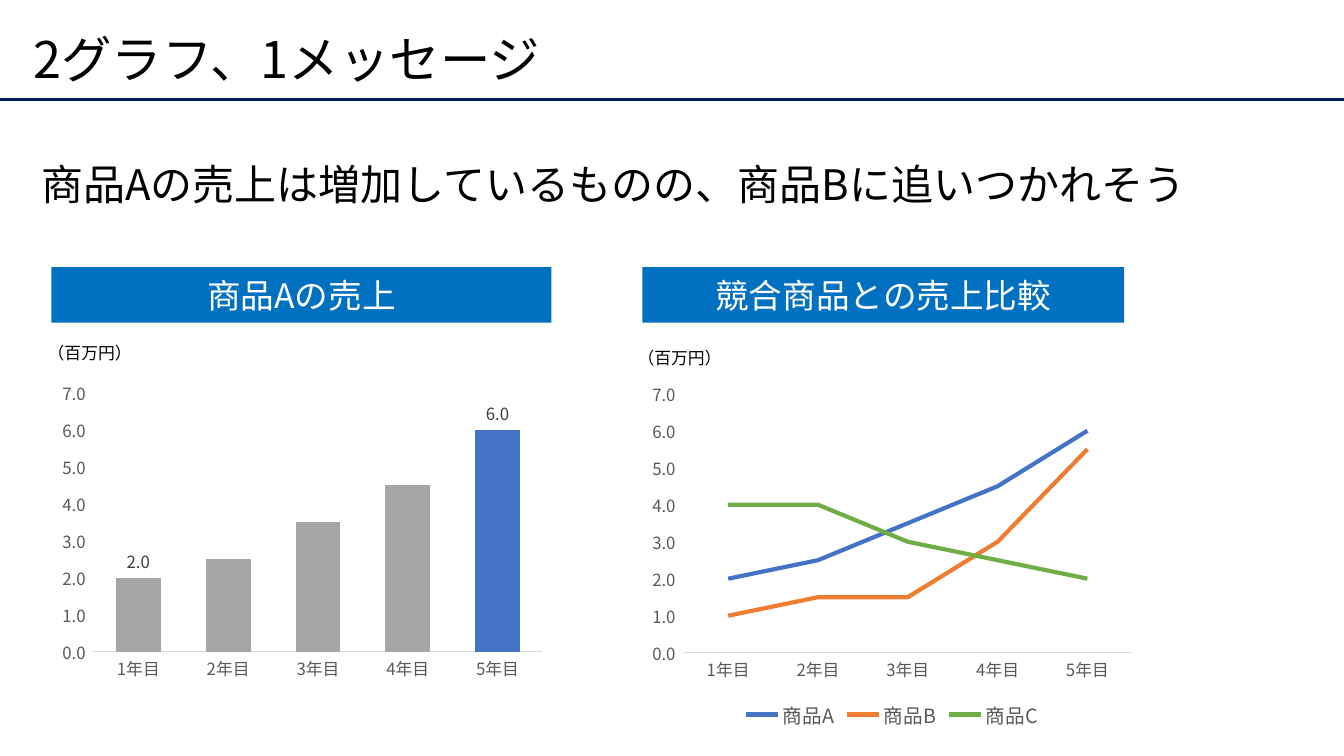
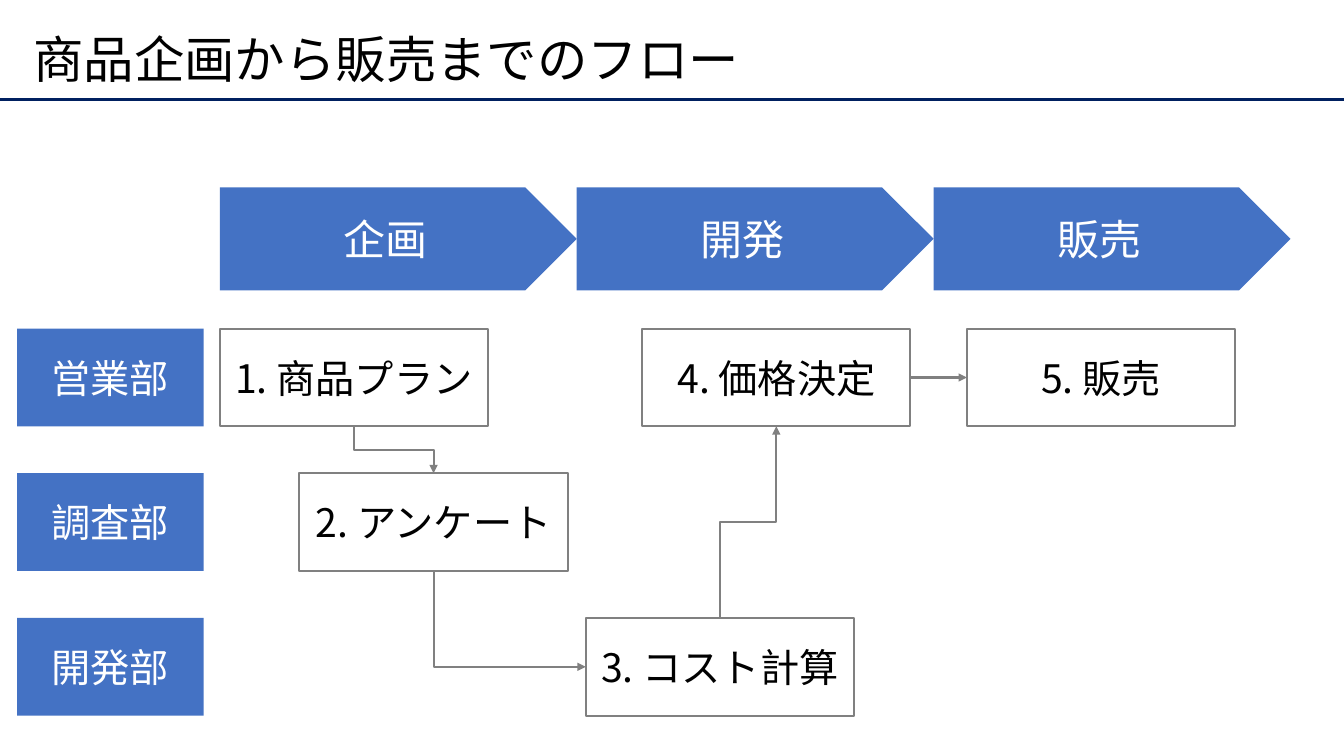
from dataclasses import dataclass
from typing import Any, NamedTuple

from lxml.etree import SubElement
from pptx import Presentation
from pptx.chart.chart import Chart
from pptx.chart.data import CategoryChartData
from pptx.dml.color import RGBColor
from pptx.enum.chart import XL_CHART_TYPE, XL_LABEL_POSITION, XL_LEGEND_POSITION, XL_TICK_MARK
from pptx.enum.shapes import MSO_CONNECTOR, MSO_SHAPE
from pptx.enum.text import MSO_ANCHOR, PP_ALIGN
from pptx.oxml.ns import qn
from pptx.shapes.autoshape import Shape
from pptx.shapes.connector import Connector
from pptx.slide import Slide
from pptx.text.text import Font
from pptx.util import Inches, Pt

FONT_NAME = "Noto Sans CJK JP"
BLACK, WHITE, NAVY = "000000", "FFFFFF", "002060"
BLUE, HEADING_BLUE, ORANGE, GREEN = "4472C4", "0070C0", "ED7D31", "70AD47"
GREY, BAR_GREY, AXIS_GREY, AXIS_TEXT, LABEL_TEXT = "808080", "A6A6A6", "D9D9D9", "595959", "404040"

YEARS = [f"{year}年目" for year in range(1, 6)]
PRODUCT_A_SALES = (2, 2.5, 3.5, 4.5, 6)
ROW_TOP, ROW_PITCH, ROW_HEIGHT = 3.26, (6.13 - 3.26) / 2, 0.97
STEP_WIDTH = 2.66
PHASE_LEFT, PHASE_WIDTH = 2.18, 3.54
TOP_SITE, LEFT_SITE, BOTTOM_SITE, RIGHT_SITE = range(4)


class Box(NamedTuple):
    left: float
    top: float
    width: float
    height: float


@dataclass(frozen=True)
class Style:
    size: float
    color: str = BLACK
    align: PP_ALIGN = PP_ALIGN.CENTER
    anchor: MSO_ANCHOR = MSO_ANCHOR.MIDDLE
    spacing: float = 1.0
    wrap: bool = True


@dataclass(frozen=True)
class Series:
    name: str
    values: tuple[float, ...]
    color: str


@dataclass(frozen=True)
class Step:
    text: str
    left: float
    row: int


@dataclass(frozen=True)
class Link:
    start: int
    start_site: int
    end: int
    end_site: int
    preset: str


TITLE_STYLE = Style(36, align=PP_ALIGN.LEFT, spacing=0.9)
MESSAGE_STYLE = Style(30, align=PP_ALIGN.LEFT, anchor=MSO_ANCHOR.TOP, spacing=1.5)
UNIT_STYLE = Style(12, anchor=MSO_ANCHOR.TOP, wrap=False)

BAR_SERIES = [Series("商品A", PRODUCT_A_SALES, BAR_GREY)]
LINE_SERIES = [
    Series("商品A", PRODUCT_A_SALES, BLUE),
    Series("商品B", (1, 1.5, 1.5, 3, 5.5), ORANGE),
    Series("商品C", (4, 4, 3, 2.5, 2), GREEN),
]
STEPS = [
    Step("1. 商品プラン", 2.18, 0),
    Step("2. アンケート", 2.97, 1),
    Step("3. コスト計算", 5.81, 2),
    Step("4. 価格決定", 6.37, 0),
    Step("5. 販売", 9.59, 0),
]
LINKS = [
    Link(0, BOTTOM_SITE, 1, TOP_SITE, "bentConnector3"),
    Link(1, BOTTOM_SITE, 2, LEFT_SITE, "bentConnector2"),
    Link(3, RIGHT_SITE, 4, LEFT_SITE, "straightConnector1"),
    Link(2, TOP_SITE, 3, BOTTOM_SITE, "bentConnector3"),
]


def rgb(color: str) -> RGBColor:
    return RGBColor.from_string(color)


def set_values(target: Any, values: dict[str, Any]) -> None:
    for name, value in values.items():
        setattr(target, name, value)


def format_font(font: Font, size: float, color: str) -> None:
    set_values(font, {"name": FONT_NAME, "size": Pt(size), "bold": False})
    font.color.rgb = rgb(color)
    SubElement(font._rPr, qn("a:ea")).set("typeface", FONT_NAME)


def place(shape: Any, box: Box) -> None:
    set_values(shape, {name: Inches(value) for name, value in box._asdict().items()})


def write_text(shape: Any, text: str, style: Style) -> None:
    frame = shape.text_frame
    set_values(frame, {"word_wrap": style.wrap, "vertical_anchor": style.anchor})
    paragraph = frame.paragraphs[0]
    set_values(paragraph, {"alignment": style.align, "line_spacing": style.spacing})
    run = paragraph.add_run()
    run.text = text
    format_font(run.font, style.size, style.color)


def add_text(slide: Slide, box: Box, text: str, style: Style) -> None:
    write_text(slide.shapes.add_textbox(*map(Inches, box)), text, style)


def add_block(slide: Slide, box: Box, text: str, style: Style, fill: str,
              line: str | None = None, preset: MSO_SHAPE = MSO_SHAPE.RECTANGLE) -> Shape:
    shape = slide.shapes.add_shape(preset, *map(Inches, box))
    shape.shadow.inherit = False
    shape.fill.solid()
    shape.fill.fore_color.rgb = rgb(fill)
    if line:
        shape.line.color.rgb = rgb(line)
        shape.line.width = Pt(1.5)
    else:
        shape.line.fill.background()
    set_values(shape.text_frame, {"margin_left": Inches(0.05), "margin_right": Inches(0.05)})
    write_text(shape, text, style)
    return shape


def format_connector(connector: Connector, color: str, width: float) -> None:
    connector.line.color.rgb = rgb(color)
    connector.line.width = Pt(width)
    SubElement(connector._element.spPr, qn("a:effectLst"))


def add_titled_slide(presentation: Any, title: str) -> Slide:
    slide = presentation.slides.add_slide(presentation.slide_layouts[5])
    place(slide.shapes.title, Box(0.23, 0.2, 12.6, 0.84))
    write_text(slide.shapes.title, title, TITLE_STYLE)
    rule = slide.shapes.add_connector(
        MSO_CONNECTOR.STRAIGHT, 0, Inches(0.99), presentation.slide_width, Inches(0.99))
    format_connector(rule, NAVY, 2.25)
    return slide


def add_sales_chart(slide: Slide, box: Box, kind: XL_CHART_TYPE,
                    series_list: list[Series], axis_format: str) -> Chart:
    data = CategoryChartData(number_format="0.0")
    data.categories = YEARS
    for series in series_list:
        data.add_series(series.name, series.values)
    chart = slide.shapes.add_chart(kind, *map(Inches, box), data).chart
    set_values(chart, {"has_title": False, "has_legend": False})
    format_font(chart.font, 10, BLACK)
    chart.plots[0].vary_by_categories = False
    for axis in (chart.category_axis, chart.value_axis):
        set_values(axis, {
            "has_major_gridlines": False,
            "major_tick_mark": XL_TICK_MARK.NONE,
            "minor_tick_mark": XL_TICK_MARK.NONE,
        })
        format_font(axis.tick_labels.font, 12, AXIS_TEXT)
    chart.category_axis.format.line.color.rgb = rgb(AXIS_GREY)
    chart.category_axis.format.line.width = Pt(0.75)
    chart.value_axis.format.line.fill.background()
    set_values(chart.value_axis, {"minimum_scale": 0, "maximum_scale": 7, "major_unit": 1})
    set_values(chart.value_axis.tick_labels,
               {"number_format": axis_format, "number_format_is_linked": False})
    return chart


def add_bar_chart(slide: Slide, box: Box) -> None:
    chart = add_sales_chart(slide, box, XL_CHART_TYPE.COLUMN_CLUSTERED, BAR_SERIES, "0.0_ ")
    set_values(chart.plots[0], {"gap_width": 100, "overlap": -27})
    bars = chart.plots[0].series[0]
    last = len(YEARS) - 1
    for target, color in ((bars, BAR_SERIES[0].color), (bars.points[last], BLUE)):
        target.format.fill.solid()
        target.format.fill.fore_color.rgb = rgb(color)
    bars.data_labels.show_value = False
    for index in (0, last):
        label = bars.points[index].data_label
        format_font(label.font, 12, LABEL_TEXT)
        label.position = XL_LABEL_POSITION.OUTSIDE_END


def add_line_chart(slide: Slide, box: Box) -> None:
    chart = add_sales_chart(slide, box, XL_CHART_TYPE.LINE, LINE_SERIES, r"0.0_);[Red]\(0.0\)")
    for drawn, series in zip(chart.plots[0].series, LINE_SERIES):
        drawn.smooth = False
        drawn.format.line.color.rgb = rgb(series.color)
        drawn.format.line.width = Pt(3)
    chart.has_legend = True
    set_values(chart.legend, {"position": XL_LEGEND_POSITION.BOTTOM, "include_in_layout": False})
    format_font(chart.legend.font, 14, AXIS_TEXT)


def add_link(slide: Slide, link: Link, shapes: list[Shape]) -> None:
    connector = slide.shapes.add_connector(MSO_CONNECTOR.ELBOW, 0, 0, 0, 0)
    connector.begin_connect(shapes[link.start], link.start_site)
    connector.end_connect(shapes[link.end], link.end_site)
    properties = connector._element.spPr
    properties.find(qn("a:prstGeom")).set("prst", link.preset)
    if link.start_site in (TOP_SITE, BOTTOM_SITE):
        upward = link.start_site == TOP_SITE
        center_x = (connector.begin_x + connector.end_x) // 2
        center_y = (connector.begin_y + connector.end_y) // 2
        width, height = connector.height, connector.width
        set_values(connector, {
            "left": center_x - width // 2, "top": center_y - height // 2,
            "width": width, "height": height,
        })
        transform = properties.find(qn("a:xfrm"))
        set_values(transform, {"rot": 90 if upward else 270, "flipH": True, "flipV": upward})
    format_connector(connector, GREY, 1.5)
    SubElement(connector.line._get_or_add_ln(), qn("a:tailEnd")).set("type", "triangle")


def build_sales_slide(presentation: Any) -> None:
    slide = add_titled_slide(presentation, "2グラフ、1メッセージ")
    add_bar_chart(slide, Box(0.52, 3.71, 4.96, 3.11))
    add_line_chart(slide, Box(6.37, 3.71, 4.96, 3.56))
    heading_style = Style(24, WHITE)
    for left, width, heading in ((0.51, 4.96, "商品Aの売上"), (6.37, 4.78, "競合商品との売上比較")):
        add_block(slide, Box(left, 2.65, width, 0.55), heading, heading_style, HEADING_BLUE)
    for box in (Box(0.37, 3.35, 1.04, 0.3), Box(6.19, 3.4, 1.1, 0.3)):
        add_text(slide, box, "（百万円）", UNIT_STYLE)
    add_text(slide, Box(0.31, 1.27, 12.52, 0.79),
             "商品Aの売上は増加しているものの、商品Bに追いつかれそう", MESSAGE_STYLE)


def build_flow_slide(presentation: Any) -> None:
    slide = add_titled_slide(presentation, "商品企画から販売までのフロー")
    for column, phase in enumerate(("企画", "開発", "販売")):
        box = Box(PHASE_LEFT + column * PHASE_WIDTH, 1.86, PHASE_WIDTH, 1.02)
        add_block(slide, box, phase, Style(30, WHITE), BLUE, preset=MSO_SHAPE.PENTAGON)
    for row, department in enumerate(("営業部", "調査部", "開発部")):
        box = Box(0.17, ROW_TOP + row * ROW_PITCH, 1.85, ROW_HEIGHT)
        add_block(slide, box, department, Style(28, WHITE), BLUE)
    step_shapes = [
        add_block(slide, Box(step.left, ROW_TOP + step.row * ROW_PITCH, STEP_WIDTH, ROW_HEIGHT),
                  step.text, Style(28), WHITE, GREY)
        for step in STEPS
    ]
    for link in LINKS:
        add_link(slide, link, step_shapes)


def main() -> None:
    presentation = Presentation()
    set_values(presentation, {"slide_width": Inches(13.33), "slide_height": Inches(7.5)})
    build_sales_slide(presentation)
    build_flow_slide(presentation)
    presentation.save("out.pptx")


if __name__ == "__main__":
    main()
